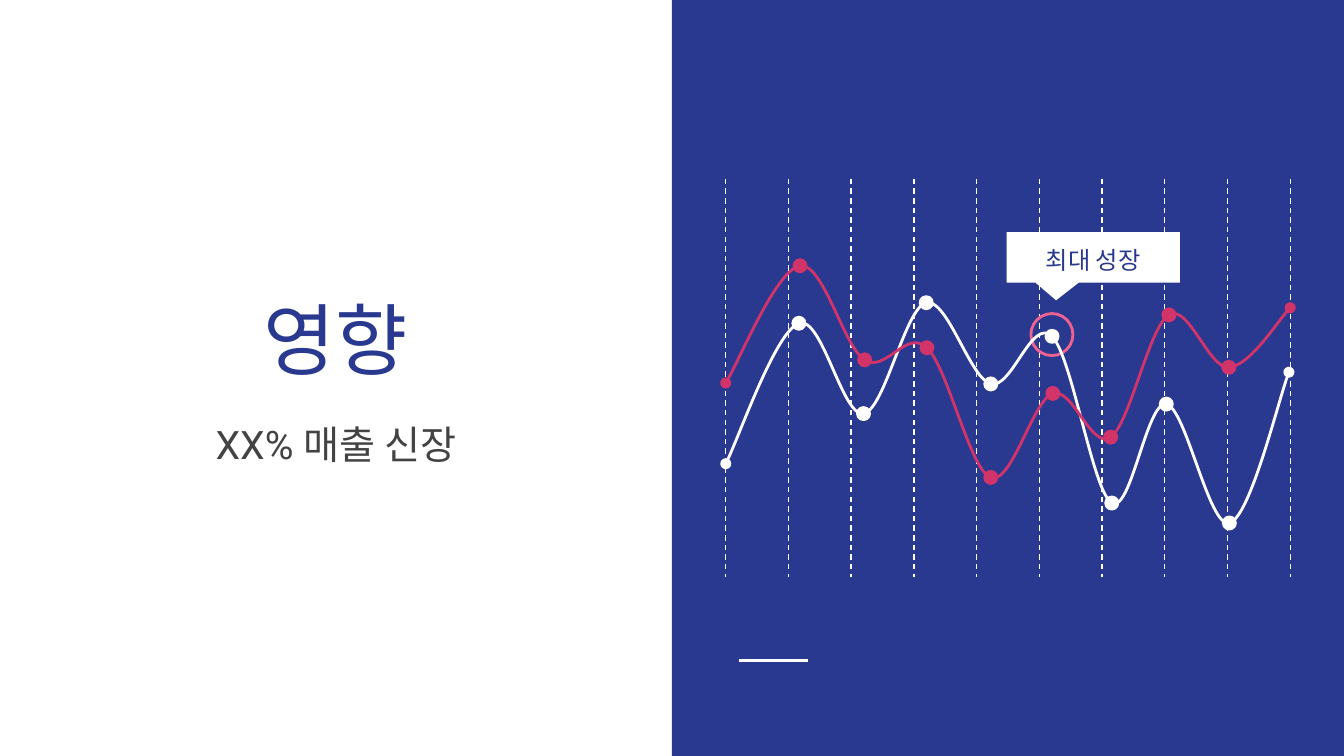
from lxml import etree
from pptx import Presentation
from pptx.dml.color import RGBColor
from pptx.enum import dml, shapes, text
from pptx.oxml import ns
from pptx.util import Pt

NAVY = RGBColor(0x2A, 0x39, 0x90)
WHITE = RGBColor(0xFF, 0xFF, 0xFF)
CRIMSON = RGBColor(0xD2, 0x33, 0x69)
PINK = RGBColor(0xF0, 0x62, 0x92)
GRAY = RGBColor(0x43, 0x43, 0x43)
FONT = "Roboto"
DOT_SIZE = 6.5
GRID_LEFT, GRID_RIGHT, GRID_TOP, GRID_BOTTOM = 388.8, 691.2, 95.8, 308.9
GRID_COUNT = 10

WHITE_SERIES = [
    (388.8, 248.4), (428, 173.2), (462.6, 221.6), (496.2, 162.2), (530.8, 205.7),
    (563.6, 180.2), (595.6, 269.5), (624.8, 216.5), (658.6, 280.2), (690.5, 199.4),
]
CRIMSON_SERIES = [
    (388.8, 205.2), (428.6, 142.4), (463.2, 192.8), (496.6, 186.3), (530.8, 255.8),
    (564, 210.8), (595, 234.2), (626.2, 168.7), (658.3, 196.8), (691.2, 164.9),
]


def add_figure(page, kind, left, top, width, height, fill=None, line=None):
    figure = page.shapes.add_shape(kind, Pt(left), Pt(top), Pt(width), Pt(height))
    figure.shadow.inherit = False
    if fill is None:
        figure.fill.background()
    else:
        figure.fill.solid()
        figure.fill.fore_color.rgb = fill
    if line is None:
        figure.line.fill.background()
    else:
        figure.line.color.rgb = line
        figure.line.width = Pt(1.5)
    return figure


def add_rule(page, start, end, width, dash=None):
    rule = page.shapes.add_connector(
        shapes.MSO_CONNECTOR.STRAIGHT, Pt(start[0]), Pt(start[1]), Pt(end[0]), Pt(end[1])
    )
    rule.line.color.rgb = WHITE
    rule.line.width = Pt(width)
    if dash is not None:
        rule.line.dash_style = dash
    etree.SubElement(rule._element.spPr, ns.qn("a:effectLst"))


def write_text(box, words, size, color, anchor=text.MSO_ANCHOR.TOP, spacing=None):
    frame = box.text_frame
    frame.word_wrap = True
    frame.auto_size = text.MSO_AUTO_SIZE.NONE
    frame.vertical_anchor = anchor
    frame.margin_left = frame.margin_right = Pt(7.2)
    frame.margin_top = frame.margin_bottom = Pt(7.2)
    para = frame.paragraphs[0]
    para.alignment = text.PP_ALIGN.CENTER
    para.line_spacing = spacing
    span = para.add_run()
    span.text = words
    span.font.name = FONT
    span.font.size = Pt(size)
    span.font.color.rgb = color


def add_text(page, left, top, width, height, words, **style):
    box = page.shapes.add_textbox(Pt(left), Pt(top), Pt(width), Pt(height))
    write_text(box, words, **style)


def add_title(page, left, top, width, height, words, **style):
    title = page.shapes.title
    title.left, title.top, title.width, title.height = Pt(left), Pt(top), Pt(width), Pt(height)
    write_text(title, words, **style)


def spline_segments(points):
    padded = [points[0], *points, points[-1]]
    for before, start, end, after in zip(padded, padded[1:], padded[2:], padded[3:]):
        leave = [s + (e - b) / 6 for b, s, e in zip(before, start, end)]
        arrive = [e - (a - s) / 6 for s, e, a in zip(start, end, after)]
        yield leave, arrive, end


def add_curve(page, points, color):
    corners = [(Pt(x), Pt(y)) for x, y in points]
    builder = page.shapes.build_freeform(*corners[0])
    builder.add_line_segments(corners[1:], close=False)
    curve = builder.convert_to_shape()
    curve.shadow.inherit = False
    curve.fill.background()
    curve.line.color.rgb = color
    curve.line.width = Pt(1.5)
    outline = curve._element.spPr.find(".//" + ns.qn("a:path"))
    for straight in outline.findall(ns.qn("a:lnTo")):
        outline.remove(straight)
    for segment in spline_segments(points):
        bezier = etree.SubElement(outline, ns.qn("a:cubicBezTo"))
        for x, y in segment:
            etree.SubElement(
                bezier, ns.qn("a:pt"), x=str(Pt(x) - curve.left), y=str(Pt(y) - curve.top)
            )
    stroke = curve._element.spPr.find(ns.qn("a:ln"))
    for tag in ("a:headEnd", "a:tailEnd"):
        etree.SubElement(stroke, ns.qn(tag), type="oval", w="med", len="med")


def add_series(page, points, color):
    add_curve(page, points, color)
    for x, y in points[1:-1]:
        add_figure(
            page, shapes.MSO_SHAPE.OVAL, x - DOT_SIZE / 2, y - DOT_SIZE / 2,
            DOT_SIZE, DOT_SIZE, fill=color, line=color,
        )


def add_grid(page):
    step = (GRID_RIGHT - GRID_LEFT) / (GRID_COUNT - 1)
    for index in range(GRID_COUNT):
        x = GRID_LEFT + index * step
        add_rule(page, (x, GRID_TOP), (x, GRID_BOTTOM), 0.75, dml.MSO_LINE.DASH)


def add_callout(page):
    callout = add_figure(
        page, shapes.MSO_SHAPE.ROUNDED_RECTANGULAR_CALLOUT, 539.2, 124.4, 92.9, 27, fill=WHITE
    )
    for index, value in enumerate((-0.214, 0.85, 0)):
        callout.adjustments[index] = value


def main():
    deck = Presentation()
    deck.slide_width, deck.slide_height = Pt(720), Pt(405)
    page = deck.slides.add_slide(deck.slide_layouts[5])
    add_figure(page, shapes.MSO_SHAPE.RECTANGLE, 360, 0, 360, 405, fill=NAVY)
    add_rule(page, (396, 354), (432.8, 354), 1.5)
    add_grid(page)
    add_figure(page, shapes.MSO_SHAPE.OVAL, 552.3, 168, 22.5, 22.5, line=PINK)
    add_title(page, 20.9, 90.7, 318.2, 123.1, "영향",
              size=42, color=NAVY, anchor=text.MSO_ANCHOR.BOTTOM)
    add_text(page, 20.9, 218.2, 318.2, 100, "XX% 매출 신장", size=21, color=GRAY)
    add_series(page, WHITE_SERIES, WHITE)
    add_callout(page)
    add_series(page, CRIMSON_SERIES, CRIMSON)
    add_text(page, 539.2, 126.7, 92.9, 22.3, "최대 성장",
             size=13, color=NAVY, anchor=text.MSO_ANCHOR.MIDDLE, spacing=1.15)
    deck.save("out.pptx")


if __name__ == "__main__":
    main()
